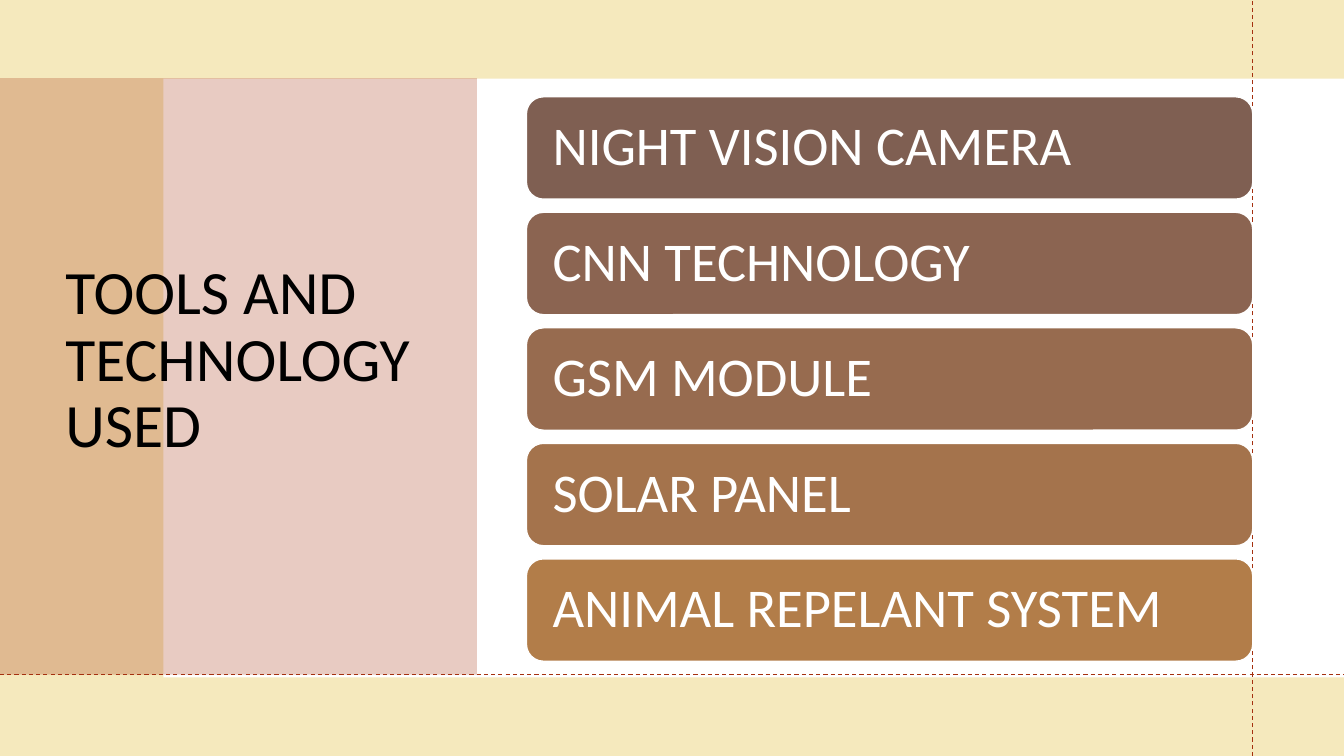
from dataclasses import dataclass

from lxml.etree import SubElement
from pptx import Presentation
from pptx.dml.color import RGBColor
from pptx.dml.fill import FillFormat
from pptx.enum.dml import MSO_LINE
from pptx.enum.shapes import MSO_CONNECTOR, MSO_SHAPE
from pptx.enum.text import MSO_ANCHOR, PP_ALIGN
from pptx.oxml.ns import qn
from pptx.text.text import TextFrame
from pptx.util import Emu, Inches, Pt

COLORS = {
    "white": "FFFFFF", "black": "000000", "gold": "E5C243", "rust": "A5300F",
    "camera": "7F5F52", "cnn": "8B6451", "gsm": "976B4F",
    "solar": "A4734C", "repellant": "B27D49",
}
FONT = "Calibri"

deck = Presentation()
deck.slide_width, deck.slide_height = Inches(13.333), Inches(7.5)
slide = deck.slides.add_slide(deck.slide_layouts[6])


@dataclass(frozen=True)
class Area:
    """A rectangle in percent of the slide's width and height."""
    left: float
    top: float
    width: float
    height: float

    def box(self) -> tuple[Emu, Emu, Emu, Emu]:
        return (across(self.left), down(self.top),
                across(self.width), down(self.height))


@dataclass(frozen=True)
class Panel:
    area: Area
    color: str
    opacity: int = 100


@dataclass(frozen=True)
class Tool:
    name: str
    color: str


@dataclass(frozen=True)
class Guide:
    start: tuple[float, float]
    end: tuple[float, float]


def across(percent: float) -> Emu:
    return Emu(round(deck.slide_width * percent / 100))


def down(percent: float) -> Emu:
    return Emu(round(deck.slide_height * percent / 100))


def rgb(color: str) -> RGBColor:
    return RGBColor.from_string(COLORS[color])


def paint(fill: FillFormat, holder, color: str, opacity: int = 100) -> None:
    fill.solid()
    fill.fore_color.rgb = rgb(color)
    if opacity < 100:
        tint = holder.find(f".//{qn('a:solidFill')}/{qn('a:srgbClr')}")
        SubElement(tint, qn("a:alpha"), val=str(opacity * 1000))


def write(frame: TextFrame, text: str, size: int, color: str) -> None:
    frame.word_wrap = True
    frame.vertical_anchor = MSO_ANCHOR.MIDDLE
    line = frame.paragraphs[0]
    line.text = text
    line.alignment = PP_ALIGN.LEFT
    line.line_spacing = 0.9
    line.font.name, line.font.size = FONT, Pt(size)
    line.font.color.rgb = rgb(color)


def draw_panel(panel: Panel) -> None:
    block = slide.shapes.add_shape(MSO_SHAPE.RECTANGLE, *panel.area.box())
    block.shadow.inherit = False
    block.line.fill.background()
    paint(block.fill, block.element.spPr, panel.color, panel.opacity)


def draw_guide(guide: Guide) -> None:
    (x1, y1), (x2, y2) = guide.start, guide.end
    rule = slide.shapes.add_connector(
        MSO_CONNECTOR.STRAIGHT, across(x1), down(y1), across(x2), down(y2))
    rule.line.color.rgb = rgb("rust")
    rule.line.width = Pt(0.75)
    rule.line.dash_style = MSO_LINE.DASH
    SubElement(rule.element.spPr, qn("a:effectLst"))


def draw_tool(tool: Tool, area: Area) -> None:
    bar = slide.shapes.add_shape(MSO_SHAPE.ROUNDED_RECTANGLE, *area.box())
    bar.shadow.inherit = False
    paint(bar.fill, bar.element.spPr, tool.color)
    bar.line.color.rgb = rgb("white")
    bar.line.width = Pt(1)
    bar.text_frame.margin_left = bar.text_frame.margin_right = across(1.58)
    write(bar.text_frame, tool.name, 39, "white")


FULL = Area(0, 0, 100, 100)
PANELS = [
    Panel(FULL, "white"),
    Panel(FULL, "gold", 35),
    Panel(Area(12.15, 10.4, 87.85, 79.2), "white"),
    Panel(Area(0, 10.33, 35.48, 78.93), "rust", 25),
]
TITLE = Area(4.12, 9.87, 29.62, 75.87)
GUIDES = [Guide((93.2, 100), (93.2, 0)), Guide((0, 89.2), (100, 89.2))]
TOOLS = [
    Tool("NIGHT VISION CAMERA", "camera"),
    Tool("CNN TECHNOLOGY", "cnn"),
    Tool("GSM MODULE", "gsm"),
    Tool("SOLAR PANEL", "solar"),
    Tool("ANIMAL REPELANT SYSTEM", "repellant"),
]
FIRST_BAR = Area(39.17, 12.8, 54.05, 13.55)
BAR_PITCH = 15.28

# Background and panels
paint(slide.background.fill, slide.background._cSld, "gold", 35)
for panel in PANELS:
    draw_panel(panel)

# Title
title = slide.shapes.add_textbox(*TITLE.box())
write(title.text_frame, "TOOLS AND TECHNOLOGY USED", 44, "black")

# Dashed guides
for guide in GUIDES:
    draw_guide(guide)

# Tool bars
for row, tool in enumerate(TOOLS):
    draw_tool(tool, Area(FIRST_BAR.left, FIRST_BAR.top + row * BAR_PITCH,
                         FIRST_BAR.width, FIRST_BAR.height))

deck.save("out.pptx")
